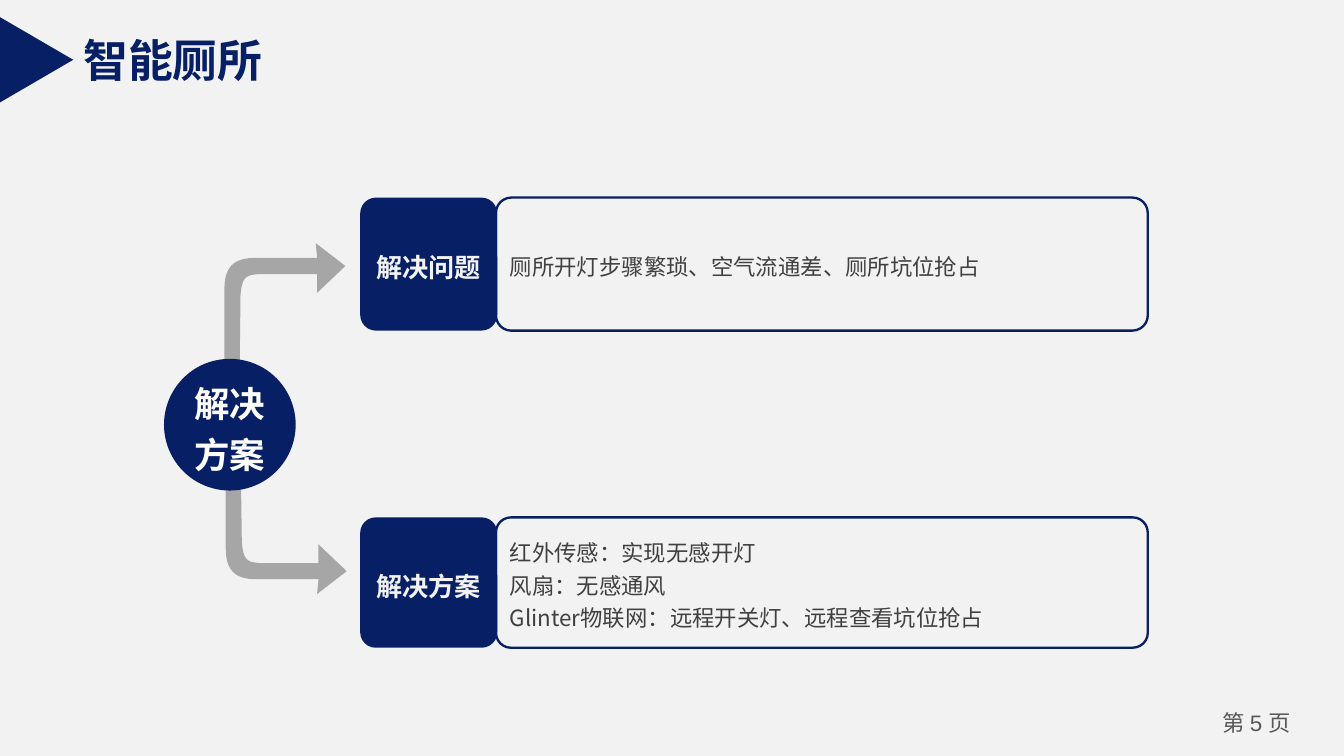
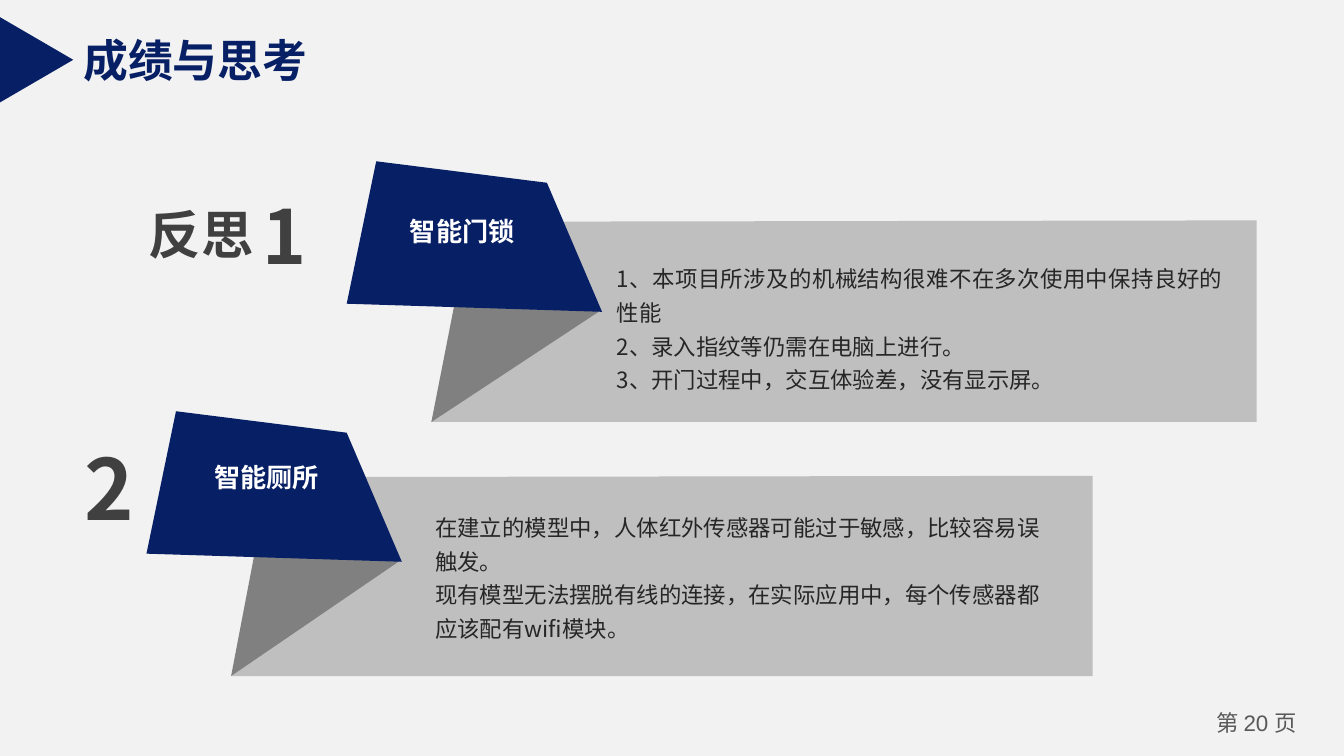
from dataclasses import dataclass

from lxml import etree
from pptx import Presentation
from pptx import util as u
from pptx.dml.color import RGBColor
from pptx.enum import shapes, text
from pptx.oxml.ns import qn

COLORS = {
    "background": "F2F2F2",
    "navy": "071F65",
    "arrow": "A6A6A6",
    "panel": "BFBFBF",
    "fold": "808080",
    "white": "FFFFFF",
    "heading": "404040",
    "body": "262626",
    "footer": "595959",
}
CJK_FONT = "Noto Sans CJK SC"
LATIN_FONT = "Arial"
TITLE_ONLY = 5
TIGHT = (0.07, 0.03)
NORMAL = (0.1, 0.05)
ALIGN = text.PP_ALIGN
Point = tuple[float, float]
Box = tuple[float, float, float, float]


@dataclass(frozen=True)
class Style:
    size: float
    color: str
    bold: bool = False
    font: str = CJK_FONT
    align: text.PP_ALIGN = ALIGN.LEFT
    spacing: float = 1.0


@dataclass(frozen=True)
class Card:
    top: float
    height: float
    label: str
    lines: list[str]


@dataclass(frozen=True)
class Ribbon:
    left: float
    top: float
    panel_top: float
    panel_right: float
    bottom: float
    label: str
    label_box: Box
    lines: list[str]
    body_box: Box
    align: text.PP_ALIGN


@dataclass(frozen=True)
class Heading:
    box: Box
    words: str
    size: float
    insets: Point = (0.07, 0.04)


TITLE = Style(24, "navy", True, LATIN_FONT)
CARD_LABEL = Style(14, "background", True, align=ALIGN.CENTER, spacing=1.2)
CARD_BODY = Style(12, "heading", spacing=1.2)
HUB_LABEL = Style(19, "white", True, LATIN_FONT, ALIGN.CENTER, 1.2)
RIBBON_LABEL = Style(14, "white", True, align=ALIGN.CENTER)
FOOTER = Style(12, "footer", align=ALIGN.CENTER)

CARDS = [
    Card(1.47, 0.99, "解决问题", ["厕所开灯步骤繁琐、空气流通差、厕所坑位抢占"]),
    Card(3.85, 0.97, "解决方案", [
        "红外传感：实现无感开灯",
        "风扇：无感通风",
        "Glinter物联网：远程开关灯、远程查看坑位抢占",
    ]),
]
RIBBONS = [
    Ribbon(2.58, 1.2, 1.64, 9.35, 3.14, "智能门锁", (2.72, 1.55, 1.44, 0.34), [
        "1、本项目所涉及的机械结构很难不在多次使用中保持良好的性能",
        "2、录入指纹等仍需在电脑上进行。",
        "3、开门过程中，交互体验差，没有显示屏。",
    ], (4.49, 1.87, 4.71, 1.11), ALIGN.JUSTIFY),
    Ribbon(1.09, 3.06, 3.54, 8.13, 5.03, "智能厕所", (1.22, 3.38, 1.53, 0.34), [
        "在建立的模型中，人体红外传感器可能过于敏感，比较容易误触发。",
        "现有模型无法摆脱有线的连接，在实际应用中，每个传感器都应该配有wifi模块。",
    ], (3.14, 3.72, 4.82, 1.11), ALIGN.LEFT),
]
HEADINGS = [
    Heading((1.01, 1.45, 0.98, 0.57), "反思", 28, NORMAL),
    Heading((1.88, 1.37, 0.5, 0.75), "1", 40),
    Heading((0.56, 3.21, 0.54, 0.83), "2", 45),
]


# Text helpers
def rgb(name: str) -> RGBColor:
    return RGBColor.from_string(COLORS[name])


def add_run(paragraph, words: str, style: Style, font: str | None = None) -> None:
    run = paragraph.add_run()
    run.text = words
    run.font.size = u.Pt(style.size)
    run.font.bold = style.bold
    run.font.color.rgb = rgb(style.color)
    run.font.name = font or style.font
    east_asian = etree.SubElement(run._r.get_or_add_rPr(), qn("a:ea"))
    east_asian.set("typeface", CJK_FONT)


def set_frame(shape, insets: Point, wrap: bool = True, middle: bool = True):
    frame = shape.text_frame
    frame.word_wrap = wrap
    frame.auto_size = text.MSO_AUTO_SIZE.NONE
    frame.margin_left = frame.margin_right = u.Inches(insets[0])
    frame.margin_top = frame.margin_bottom = u.Inches(insets[1])
    frame.vertical_anchor = text.MSO_ANCHOR.MIDDLE if middle else text.MSO_ANCHOR.TOP
    return frame


def write_lines(frame, lines: list[str], style: Style) -> None:
    for index, line in enumerate(lines):
        paragraph = frame.add_paragraph() if index else frame.paragraphs[0]
        paragraph.alignment = style.align
        paragraph.line_spacing = style.spacing
        paragraph.space_before = u.Pt(0)
        add_run(paragraph, line, style)


# Shape helpers
def place(box: Box) -> list[int]:
    return [u.Inches(length) for length in box]


def add_preset(slide, kind, box: Box, fill: str | None = None, corner: float | None = None):
    shape = slide.shapes.add_shape(kind, *place(box))
    shape.shadow.inherit = False
    if corner is not None:
        shape.adjustments[0] = corner
    if fill:
        shape.fill.solid()
        shape.fill.fore_color.rgb = rgb(fill)
        shape.line.fill.background()
    else:
        shape.fill.background()
        shape.line.color.rgb = rgb("navy")
        shape.line.width = u.Pt(1.25)
    return shape


def add_outline(container, points: list[Point], fill: str) -> None:
    corners = [(u.Inches(x), u.Inches(y)) for x, y in points]
    builder = container.build_freeform(*corners[0])
    builder.add_line_segments(corners[1:], close=True)
    shape = builder.convert_to_shape()
    shape.shadow.inherit = False
    shape.fill.solid()
    shape.fill.fore_color.rgb = rgb(fill)
    shape.line.fill.background()


def curve(start: Point, control1: Point, control2: Point, end: Point) -> list[Point]:
    """Points along a cubic curve, both ends included."""
    steps = 12
    controls = (start, control1, control2, end)
    points = []
    for step in range(steps + 1):
        t = step / steps
        weights = ((1 - t) ** 3, 3 * t * (1 - t) ** 2, 3 * t * t * (1 - t), t ** 3)
        points.append((
            sum(w * p[0] for w, p in zip(weights, controls)),
            sum(w * p[1] for w, p in zip(weights, controls)),
        ))
    return points


def add_elbow_arrow(slide, left: float, tip: float, stem: float, direction: int) -> None:
    """Bent arrow whose stem leaves the tip's level in the given direction."""
    points = [
        *curve((0.12, 0.22), (0.13, 0.07), (0.17, 0.07), (0.25, 0.06)),
        (0.69, 0.06), (0.69, 0.2), (0.9, 0), (0.68, -0.17), (0.69, -0.06),
        *curve((0.22, -0.06), (0.06, -0.06), (0, 0.02), (0, 0.17)),
        *curve((0, stem + 0.02), (0.02, stem + 0.16), (0.09, stem + 0.15), (0.11, stem)),
    ]
    add_outline(slide.shapes, [(left + x, tip + direction * y) for x, y in points], "arrow")


# Parts shared by the slides
def add_base_slide(presentation, title: str, title_width: float, number: int):
    slide = presentation.slides.add_slide(presentation.slide_layouts[TITLE_ONLY])
    placeholder = slide.shapes.title
    placeholder.left, placeholder.top, placeholder.width, placeholder.height = place(
        (0.52, 0.19, title_width, 0.5))
    write_lines(set_frame(placeholder, NORMAL, wrap=False), [title], TITLE)

    marker = add_preset(slide, shapes.MSO_SHAPE.ISOSCELES_TRIANGLE,
                        (-0.05, 0.17, 0.64, 0.55), "navy")
    marker.rotation = 90

    footer = slide.shapes.add_textbox(*place((8.9, 5.24, 0.9, 0.3)))
    paragraph = set_frame(footer, (0.07, 0.04), middle=False).paragraphs[0]
    paragraph.alignment = FOOTER.align
    add_run(paragraph, "第 ", FOOTER)
    add_run(paragraph, f"{number} ", FOOTER, LATIN_FONT)
    add_run(paragraph, "页", FOOTER)
    return slide


# Cards with a navy label and an outlined body
def add_card(slide, card: Card) -> None:
    rounded = shapes.MSO_SHAPE.ROUNDED_RECTANGLE
    body = add_preset(slide, rounded, (3.69, card.top, 4.85, card.height), corner=0.115)
    write_lines(set_frame(body, TIGHT), card.lines, CARD_BODY)
    label = add_preset(slide, rounded, (2.68, card.top, 1.02, card.height), "navy", 0.119)
    write_lines(set_frame(label, TIGHT), [card.label], CARD_LABEL)


# Folded ribbons with a text panel
def add_ribbon(slide, ribbon: Ribbon) -> None:
    group = slide.shapes.add_group_shape().shapes
    left, top, bottom = ribbon.left, ribbon.top, ribbon.bottom
    tail = (left + 0.63, bottom)
    add_outline(group, [(left + 1.11, ribbon.panel_top + 0.01),
                        (ribbon.panel_right, ribbon.panel_top),
                        (ribbon.panel_right, bottom), tail], "panel")
    add_outline(group, [(left + 1.89, top + 1.11), (left + 0.85, top + 0.82), tail], "fold")
    add_outline(group, [(left + 0.22, top), (left + 1.49, top + 0.16),
                        (left + 1.9, top + 1.12), (left, top + 1.06)], "navy")
    label = group.add_textbox(*place(ribbon.label_box))
    write_lines(set_frame(label, NORMAL), [ribbon.label], RIBBON_LABEL)
    body = group.add_textbox(*place(ribbon.body_box))
    style = Style(12, "body", align=ribbon.align, spacing=1.25)
    write_lines(set_frame(body, NORMAL), ribbon.lines, style)


def build_solution(presentation) -> None:
    slide = add_base_slide(presentation, "智能厕所", 1.56, 5)
    add_elbow_arrow(slide, 1.68, 4.25, 0.94, -1)
    add_elbow_arrow(slide, 1.67, 1.98, 1.09, 1)
    for card in CARDS:
        add_card(slide, card)
    hub = add_preset(slide, shapes.MSO_SHAPE.OVAL, (1.22, 2.67, 0.98, 0.98), "navy")
    write_lines(set_frame(hub, TIGHT), ["解决方案"], HUB_LABEL)


def build_reflection(presentation) -> None:
    slide = add_base_slide(presentation, "成绩与思考", 1.9, 20)
    for ribbon in RIBBONS:
        add_ribbon(slide, ribbon)
    for heading in HEADINGS:
        shape = slide.shapes.add_textbox(*place(heading.box))
        frame = set_frame(shape, heading.insets, wrap=False)
        write_lines(frame, [heading.words], Style(heading.size, "heading", True))


def main() -> None:
    presentation = Presentation()
    presentation.slide_width = u.Inches(10)
    presentation.slide_height = u.Inches(10 * 9 / 16)
    background = presentation.slide_master.background.fill
    background.solid()
    background.fore_color.rgb = rgb("background")
    build_solution(presentation)
    build_reflection(presentation)
    presentation.save("out.pptx")


if __name__ == "__main__":
    main()
